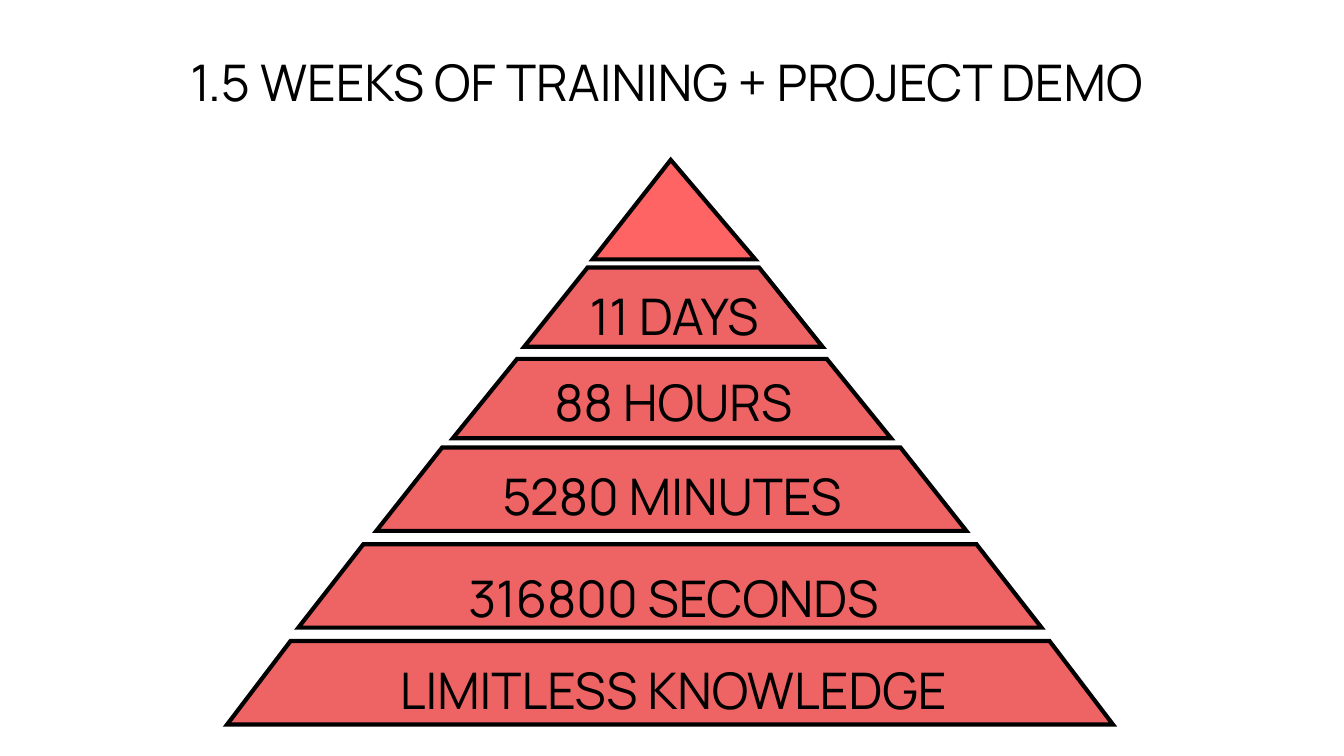
from lxml import etree
from pptx import Presentation
from pptx.dml.color import RGBColor
from pptx.enum.shapes import MSO_SHAPE as Shape
from pptx.enum.text import MSO_ANCHOR as Anchor, PP_ALIGN as Align
from pptx.oxml.ns import qn
from pptx.util import Inches, Pt

COLORS = {"text": "000000", "outline": "000000", "tip": "FF6464", "tier": "EE6464"}


def write(shape, text, anchor, line_spacing, margins):
    """Set centred text; margins are left, top, right, bottom in inches."""
    frame = shape.text_frame
    frame.word_wrap = True
    frame.vertical_anchor = anchor
    (frame.margin_left, frame.margin_top,
     frame.margin_right, frame.margin_bottom) = map(Inches, margins)
    paragraph = frame.paragraphs[0]
    paragraph.text = text
    paragraph.alignment = Align.CENTER
    paragraph.line_spacing = line_spacing
    paragraph.font.name = "Manrope"
    paragraph.font.size = Pt(27)
    paragraph.font.bold = False
    paragraph.font.color.rgb = RGBColor.from_string(COLORS["text"])


def add_level(kind, box, adjustment, color):
    """Add one level of the pyramid, outlined with sharp corners."""
    level = slide.shapes.add_shape(kind, *map(Inches, box))
    level.adjustments[0] = adjustment
    level.shadow.inherit = False
    level.fill.solid()
    level.fill.fore_color.rgb = RGBColor.from_string(COLORS[color])
    level.line.color.rgb = RGBColor.from_string(COLORS["outline"])
    level.line.width = Pt(2.25)
    outline = level.element.spPr.find(qn("a:ln"))
    etree.SubElement(outline, qn("a:miter"), lim="800000")


presentation = Presentation()
presentation.slide_width = Inches(10)
presentation.slide_height = Inches(10) * 9 // 16
slide = presentation.slides.add_slide(presentation.slide_layouts[0])

subtitle = slide.placeholders[1].element
subtitle.getparent().remove(subtitle)

title = slide.shapes.title
title.left, title.top, title.width, title.height = map(Inches, (0, 0.18, 10, 1.26))
# The margins lift the single line and move it slightly to the left
write(title, "1.5 WEEKS OF TRAINING + PROJECT DEMO", Anchor.MIDDLE, 1.1, (0, 0, 0.08, 0.46))

add_level(Shape.ISOSCELES_TRIANGLE, (4.41, 1.19, 1.21, 0.74), 0.48, "tip")

compact = (Anchor.TOP, 1.0, (0.07, 0.04, 0.07, 0.04))
wide = (Anchor.MIDDLE, 1.1, (0, 0, 0, 0))

# Label, tier box, slant, label box, label style
tiers = [
    ("11 DAYS", (3.9, 1.99, 2.22, 0.59), 0.8, (4.11, 2.08, 1.81, 0.48), compact),
    ("88 HOURS", (3.37, 2.67, 3.26, 0.59), 0.81, (3.9, 2.72, 2.22, 0.48), compact),
    ("5280 MINUTES", (2.8, 3.33, 4.39, 0.62), 0.79, (3.37, 3.42, 3.26, 0.48), compact),
    ("316800 SECONDS", (2.22, 4.05, 5.53, 0.62), 0.78, (1.34, 3.9, 7.34, 1.04), wide),
    ("LIMITLESS KNOWLEDGE", (1.69, 4.77, 6.59, 0.62), 0.76, (1.34, 4.59, 7.34, 1.04), wide),
]
for label, tier_box, slant, label_box, style in tiers:
    add_level(Shape.TRAPEZOID, tier_box, slant, "tier")
    write(slide.shapes.add_textbox(*map(Inches, label_box)), label, *style)

presentation.save("out.pptx")
